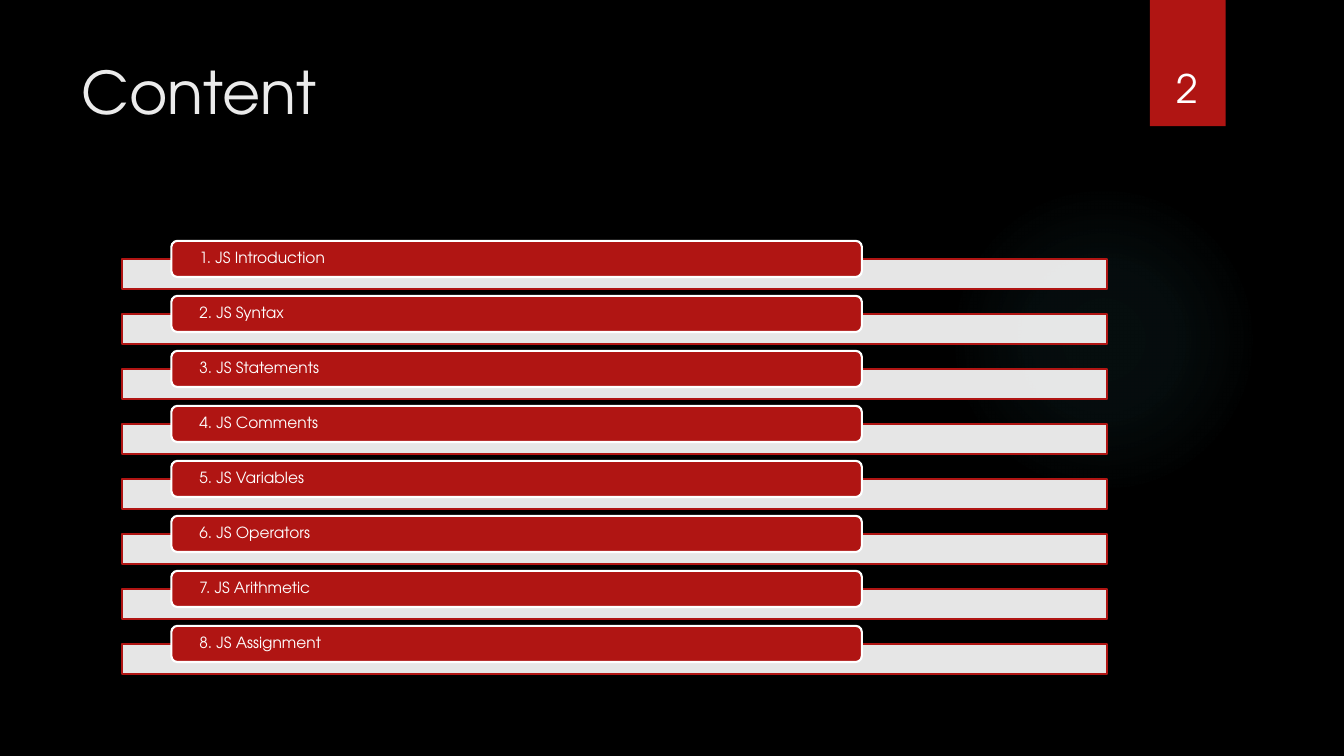
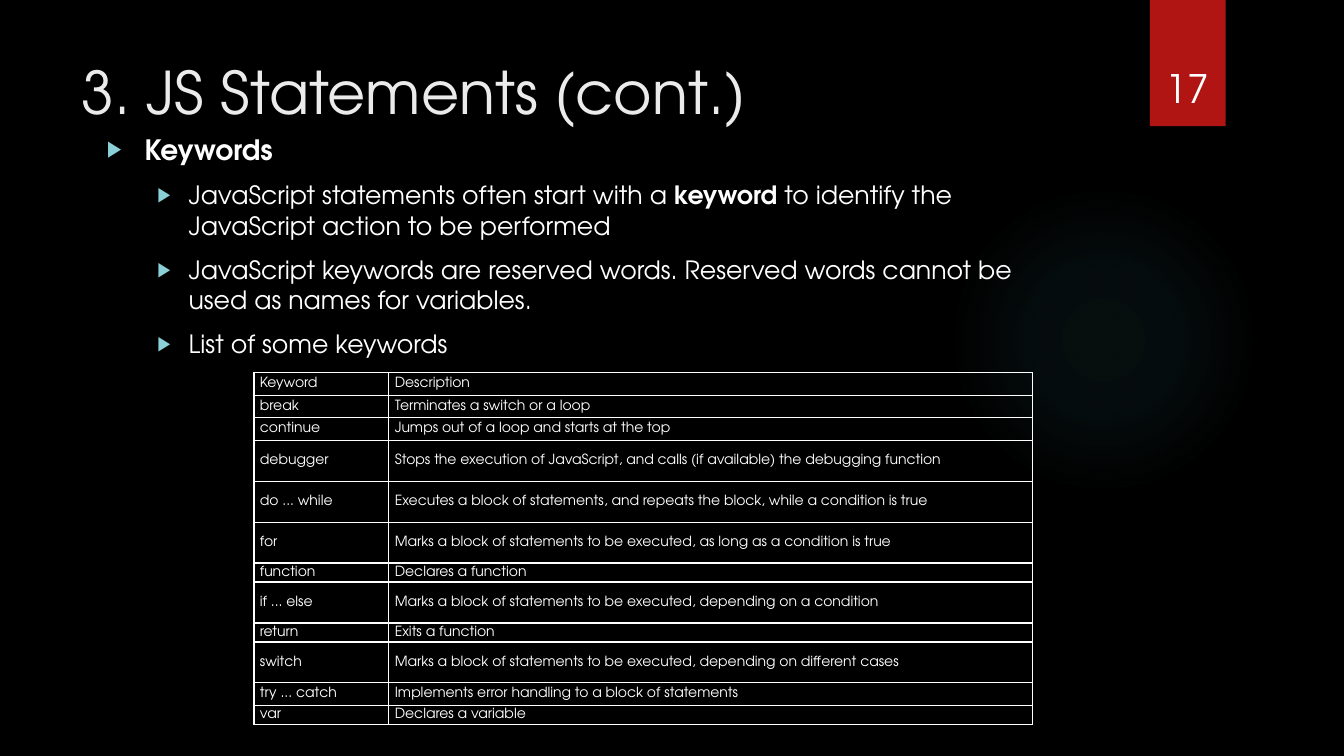
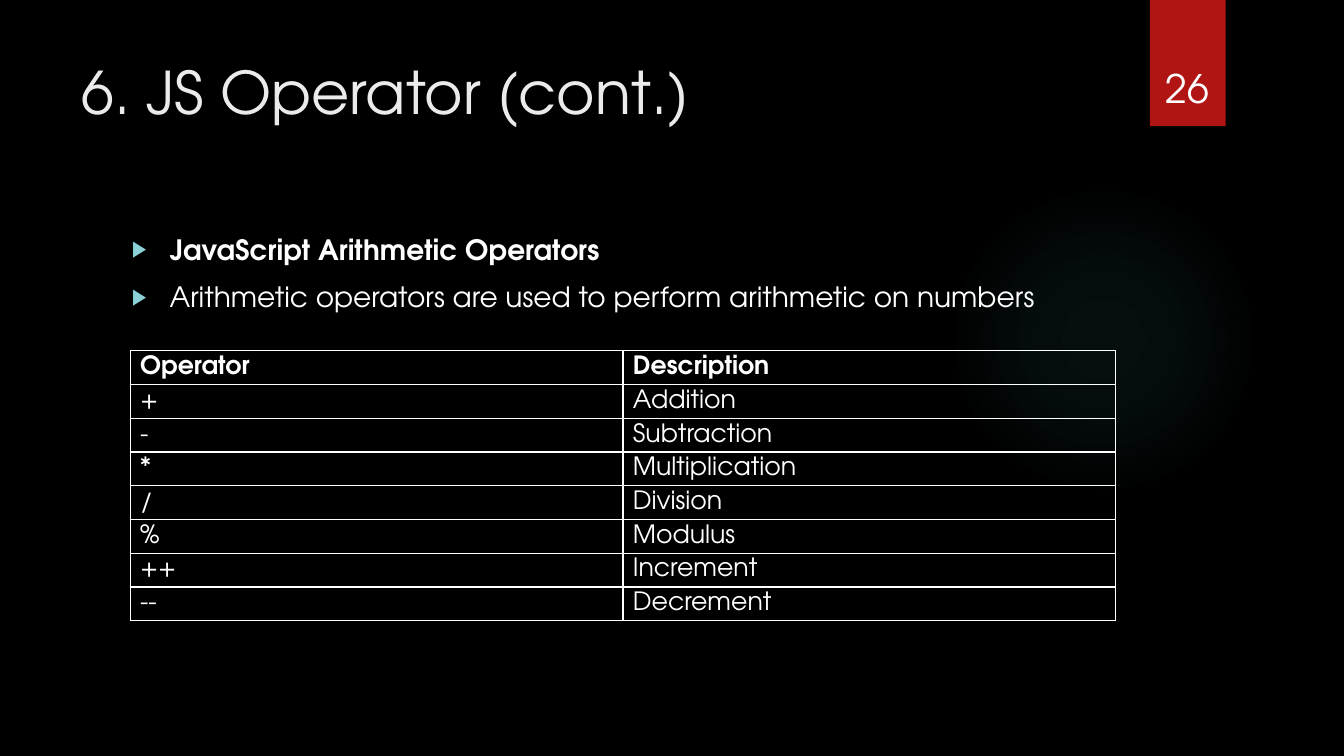
"""Build three JavaScript lesson slides: contents, keywords and arithmetic operators."""
from pptx import Presentation
from pptx.dml.color import RGBColor
from pptx.enum.shapes import MSO_SHAPE
from pptx.enum.text import MSO_ANCHOR, MSO_AUTO_SIZE, PP_ALIGN
from pptx.oxml import parse_xml
from pptx.oxml.ns import nsdecls, qn
from pptx.oxml.xmlchemy import OxmlElement
from pptx.util import Cm, Pt

FONT = "TeX Gyre Adventor"
COLORS = {
    "background": "000000",
    "red": "B01513",
    "white": "FFFFFF",
    "title": "EBEBEB",
    "bullet": "8AD0D6",
    "glow": "50B9C1",
}

TOPICS = [
    "1. JS Introduction", "2. JS Syntax", "3. JS Statements", "4. JS Comments",
    "5. JS Variables", "6. JS Operators", "7. JS Arithmetic", "8. JS Assignment",
]

KEYWORD_POINTS = [
    (0, [("Keywords", True)]),
    (1, [("JavaScript statements often start with a ", False), ("keyword", True),
         (" to identify the JavaScript action to be performed", False)]),
    (1, [("JavaScript keywords are reserved words. Reserved words cannot be used "
          "as names for variables.", False)]),
    (1, [("List of some keywords", False)]),
]
KEYWORDS = [
    ("Keyword", "Description"),
    ("break", "Terminates a switch or a loop"),
    ("continue", "Jumps out of a loop and starts at the top"),
    ("debugger", "Stops the execution of JavaScript, and calls (if available) the debugging function"),
    ("do ... while", "Executes a block of statements, and repeats the block, while a condition is true"),
    ("for", "Marks a block of statements to be executed, as long as a condition is true"),
    ("function", "Declares a function"),
    ("if ... else", "Marks a block of statements to be executed, depending on a condition"),
    ("return", "Exits a function"),
    ("switch", "Marks a block of statements to be executed, depending on different cases"),
    ("try ... catch", "Implements error handling to a block of statements"),
    ("var", "Declares a variable"),
]
SMALL, MEDIUM, TALL = 0.48, 0.57, 1.03
KEYWORD_HEIGHTS = [MEDIUM, MEDIUM, MEDIUM, TALL, TALL, TALL,
                   SMALL, TALL, SMALL, TALL, MEDIUM, SMALL]

OPERATOR_POINTS = [
    (0, [("JavaScript Arithmetic Operators", True)]),
    (0, [("Arithmetic operators are used to perform arithmetic on numbers", False)]),
]
OPERATORS = [
    ("Operator", "Description"),
    ("+", "Addition"),
    ("-", "Subtraction"),
    ("*", "Multiplication"),
    ("/", "Division"),
    ("%", "Modulus"),
    ("++", "Increment"),
    ("--", "Decrement"),
]

LEVELS = [
    {"size": 20, "margin": 0.95, "hanging": 0.95},
    {"size": 18, "margin": 2.06, "hanging": 0.79},
]


def color(name):
    return RGBColor.from_string(COLORS[name])


def style_font(font, size, color_name="white", bold=None):
    font.name = FONT
    font.size = Pt(size)
    font.color.rgb = color(color_name)
    font.bold = bold


def place(shape, left, top, width, height):
    shape.left, shape.top = Cm(left), Cm(top)
    shape.width, shape.height = Cm(width), Cm(height)


def add_child(parent, tag, **attributes):
    child = OxmlElement(tag)
    for name, value in attributes.items():
        child.set(name, str(value))
    parent.append(child)
    return child


def add_box(slide, kind, box, fill, line=None):
    shape = slide.shapes.add_shape(kind, *map(Cm, box))
    shape.shadow.inherit = False
    shape.fill.solid()
    shape.fill.fore_color.rgb = color(fill)
    if line:
        shape.line.color.rgb = color(line)
        shape.line.width = Pt(1.5)
    else:
        shape.line.fill.background()
    return shape


def set_alpha(shape, percent):
    rgb = shape.element.spPr.find(qn("a:solidFill")).find(qn("a:srgbClr"))
    add_child(rgb, "a:alpha", val=percent * 1000)


def fill_with_glow(shape):
    stops = "".join(
        f'<a:gs pos="{position * 1000}"><a:srgbClr val="{COLORS["glow"]}">'
        f'<a:alpha val="{alpha * 1000}"/></a:srgbClr></a:gs>'
        for position, alpha in [(0, 7), (36, 6), (69, 0), (100, 0)])
    gradient = parse_xml(
        f'<a:gradFill {nsdecls("a")} rotWithShape="1"><a:gsLst>{stops}</a:gsLst>'
        '<a:path path="circle"><a:fillToRect l="50000" t="50000" r="50000" b="50000"/>'
        '</a:path></a:gradFill>')
    properties = shape.element.spPr
    properties.replace(properties.find(qn("a:solidFill")), gradient)


def decorate_master(master, slide):
    fill = master.background.fill
    fill.solid()
    fill.fore_color.rgb = color("background")
    glow = add_box(slide, MSO_SHAPE.OVAL, (23.9, 4.65, 7.82, 7.82), "glow")
    fill_with_glow(glow)
    tab = add_box(slide, MSO_SHAPE.RECTANGLE, (28.98, 0, 1.91, 3.18), "red")
    for index, shape in enumerate((glow, tab)):
        master.shapes.element.insert(2 + index, shape.element)


def add_slide(layout, title_text, number):
    slide = presentation.slides.add_slide(layout)
    title = slide.shapes.title
    place(title, 1.8, 1.27, 26.14, 3.89)
    frame = title.text_frame
    frame.auto_size = MSO_AUTO_SIZE.NONE
    frame.vertical_anchor = MSO_ANCHOR.TOP
    frame.text = title_text
    paragraph = frame.paragraphs[0]
    paragraph.alignment = PP_ALIGN.LEFT
    style_font(paragraph.font, 42, "title")

    number_box = slide.shapes.add_textbox(Cm(28.75), Cm(0.81), Cm(2.34), Cm(2.13))
    frame = number_box.text_frame
    frame.word_wrap = True
    frame.vertical_anchor = MSO_ANCHOR.BOTTOM
    frame.text = str(number)
    paragraph = frame.paragraphs[0]
    paragraph.alignment = PP_ALIGN.CENTER
    style_font(paragraph.font, 28)
    return slide


def add_topics(slide, topics, top=6.07, pitch=1.386):
    for index, topic in enumerate(topics):
        y = top + index * pitch
        bar = add_box(slide, MSO_SHAPE.RECTANGLE, (3.07, y + 0.46, 24.84, 0.76), "white", "red")
        set_alpha(bar, 90)
        label = add_box(slide, MSO_SHAPE.ROUNDED_RECTANGLE, (4.32, y, 17.4, 0.91), "red", "white")
        frame = label.text_frame
        frame.margin_left = frame.margin_right = Cm(0.66)
        frame.margin_top = frame.margin_bottom = 0
        frame.vertical_anchor = MSO_ANCHOR.MIDDLE
        frame.text = topic
        paragraph = frame.paragraphs[0]
        paragraph.alignment = PP_ALIGN.LEFT
        paragraph.line_spacing = 0.9
        style_font(paragraph.font, 11)


def add_bullet(paragraph, level):
    properties = paragraph._p.get_or_add_pPr()
    properties.set("marL", str(Cm(level["margin"])))
    properties.set("indent", str(-Cm(level["hanging"])))
    add_child(add_child(properties, "a:buClr"), "a:srgbClr", val=COLORS["bullet"])
    add_child(properties, "a:buSzPct", val=80000)
    add_child(properties, "a:buChar", char="\u25b6")


def fill_body(slide, points, box):
    body = slide.placeholders[1]
    place(body, *box)
    frame = body.text_frame
    frame.auto_size = MSO_AUTO_SIZE.NONE
    for index, (depth, runs) in enumerate(points):
        paragraph = frame.add_paragraph() if index else frame.paragraphs[0]
        paragraph.level = depth
        paragraph.space_before = Pt(10)
        add_bullet(paragraph, LEVELS[depth])
        style_font(paragraph.font, LEVELS[depth]["size"])
        for text, bold in runs:
            run = paragraph.add_run()
            run.text = text
            run.font.bold = bold


def add_borders(cell):
    properties = cell._tc.get_or_add_tcPr()
    for index, side in enumerate(("lnL", "lnR", "lnT", "lnB")):
        border = OxmlElement(f"a:{side}")
        border.set("w", str(Pt(1)))
        add_child(add_child(border, "a:solidFill"), "a:srgbClr", val=COLORS["white"])
        properties.insert(index, border)


def add_grid(slide, rows, left, top, widths, heights, size, margin, bold_header=False):
    frame = slide.shapes.add_table(len(rows), len(widths), Cm(left), Cm(top),
                                   Cm(sum(widths)), Cm(sum(heights)))
    table = frame.table
    table.first_row = table.horz_banding = False
    for column, width in zip(table.columns, widths):
        column.width = Cm(width)
    for row_index, (row, texts, height) in enumerate(zip(table.rows, rows, heights)):
        row.height = Cm(height)
        for cell, text in zip(row.cells, texts):
            cell.margin_left = cell.margin_right = Cm(margin)
            cell.margin_top = cell.margin_bottom = 0
            cell.vertical_anchor = MSO_ANCHOR.MIDDLE
            cell.fill.background()
            add_borders(cell)
            cell.text = text
            style_font(cell.text_frame.paragraphs[0].font, size,
                       bold=bold_header and row_index == 0)


presentation = Presentation()
presentation.slide_width, presentation.slide_height = Cm(33.87), Cm(19.05)
title_and_body, title_only = presentation.slide_layouts[1], presentation.slide_layouts[5]

contents = add_slide(title_only, "Content", 2)
decorate_master(presentation.slide_master, contents)
add_topics(contents, TOPICS)

statements = add_slide(title_and_body, "3. JS Statements (cont.)", 17)
fill_body(statements, KEYWORD_POINTS, (2.44, 3.2, 24.84, 11.66))
add_grid(statements, KEYWORDS, 6.4, 9.39, (3.4, 16.23), KEYWORD_HEIGHTS, 10, 0.15)

operators = add_slide(title_and_body, "6. JS Operator (cont.)", 26)
fill_body(operators, OPERATOR_POINTS, (3.07, 5.72, 24.84, 11.66))
add_grid(operators, OPERATORS, 3.28, 8.84, (12.42, 12.42), [0.85] * len(OPERATORS), 18, 0.25,
         bold_header=True)

presentation.save("out.pptx")
